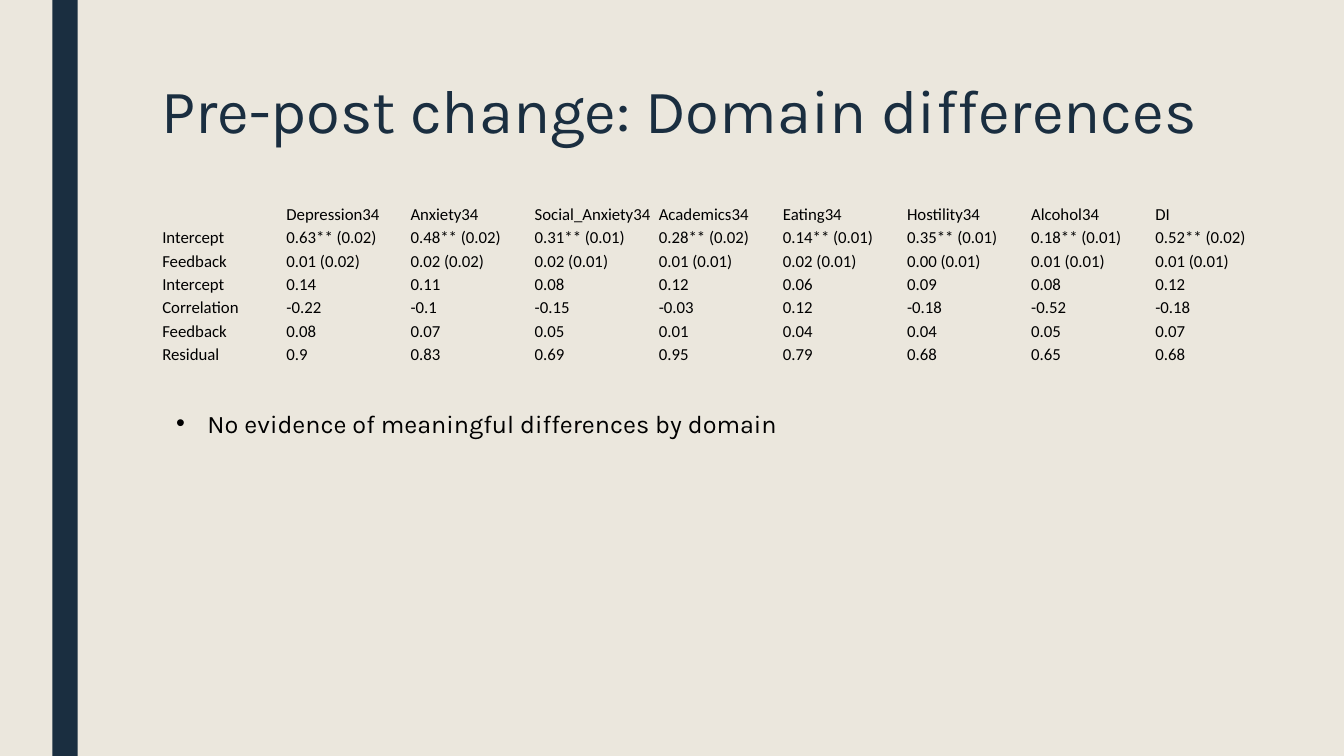
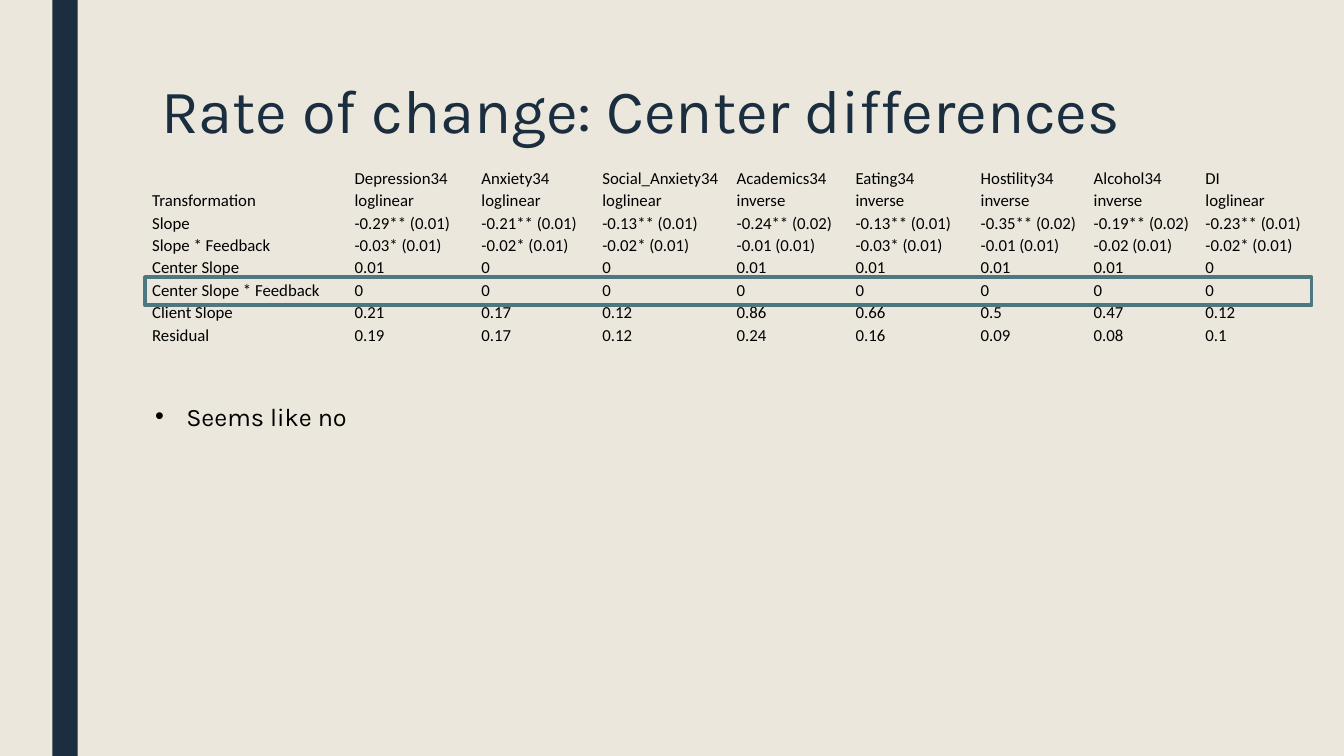
from pptx import Presentation
from pptx.dml.color import RGBColor
from pptx.enum.shapes import MSO_SHAPE
from pptx.enum.text import MSO_ANCHOR
from pptx.oxml.ns import qn
from pptx.util import Inches, Pt
from lxml.etree import SubElement

COLORS = {"paper": "EBE7DD", "navy": "1A2E40", "teal": "4E777F", "ink": "000000"}
GRID_COLUMNS, GRID_ROWS = 160, 90
PLAIN_TABLE = "{2D5ABB26-0587-4C30-8999-92F81FD0307C}"

DOMAINS = ("Depression34", "Anxiety34", "Social_Anxiety34", "Academics34",
           "Eating34", "Hostility34", "Alcohol34", "DI")

PRE_POST_ROWS = [
    ("", *DOMAINS),
    ("Intercept", "0.63** (0.02)", "0.48** (0.02)", "0.31** (0.01)", "0.28** (0.02)",
     "0.14** (0.01)", "0.35** (0.01)", "0.18** (0.01)", "0.52** (0.02)"),
    ("Feedback", "0.01 (0.02)", "0.02 (0.02)", "0.02 (0.01)", "0.01 (0.01)",
     "0.02 (0.01)", "0.00 (0.01)", "0.01 (0.01)", "0.01 (0.01)"),
    ("Intercept", "0.14", "0.11", "0.08", "0.12", "0.06", "0.09", "0.08", "0.12"),
    ("Correlation", "-0.22", "-0.1", "-0.15", "-0.03", "0.12", "-0.18", "-0.52", "-0.18"),
    ("Feedback", "0.08", "0.07", "0.05", "0.01", "0.04", "0.04", "0.05", "0.07"),
    ("Residual", "0.9", "0.83", "0.69", "0.95", "0.79", "0.68", "0.65", "0.68"),
]

RATE_ROWS = [
    ("", *DOMAINS),
    ("Transformation", "loglinear", "loglinear", "loglinear", "inverse",
     "inverse", "inverse", "inverse", "loglinear"),
    ("Slope", "-0.29** (0.01)", "-0.21** (0.01)", "-0.13** (0.01)", "-0.24** (0.02)",
     "-0.13** (0.01)", "-0.35** (0.02)", "-0.19** (0.02)", "-0.23** (0.01)"),
    ("Slope * Feedback", "-0.03* (0.01)", "-0.02* (0.01)", "-0.02* (0.01)", "-0.01 (0.01)",
     "-0.03* (0.01)", "-0.01 (0.01)", "-0.02 (0.01)", "-0.02* (0.01)"),
    ("Center Slope", "0.01", "0", "0", "0.01", "0.01", "0.01", "0.01", "0"),
    ("Center Slope * Feedback", *["0"] * len(DOMAINS)),
    ("Client Slope", "0.21", "0.17", "0.12", "0.86", "0.66", "0.5", "0.47", "0.12"),
    ("Residual", "0.19", "0.17", "0.12", "0.24", "0.16", "0.09", "0.08", "0.1"),
]


class Deck:
    """Holds the style and the current slide; lengths are grid columns and rows."""

    def __init__(self):
        self.prs = Presentation()
        self.prs.slide_width = Inches(13.33)
        self.prs.slide_height = Inches(7.5)
        self.slide = None

    def x(self, columns):
        return round(self.prs.slide_width * columns / GRID_COLUMNS)

    def y(self, rows):
        return round(self.prs.slide_height * rows / GRID_ROWS)

    def box(self, left, top, width, height):
        return self.x(left), self.y(top), self.x(width), self.y(height)

    def color(self, name):
        return RGBColor.from_string(COLORS[name])

    def new_slide(self, title):
        self.slide = self.prs.slides.add_slide(self.prs.slide_layouts[6])
        background = self.slide.background.fill
        background.solid()
        background.fore_color.rgb = self.color("paper")
        self.rectangle(6.24, 0, 3, GRID_ROWS, fill="navy")
        heading = self.text(18, 9, 126, 12.6, title, 44, "navy")
        heading.line_spacing = 0.89

    def rectangle(self, left, top, width, height, fill=None, line=None, weight=2.75):
        shape = self.slide.shapes.add_shape(
            MSO_SHAPE.RECTANGLE, *self.box(left, top, width, height))
        shape.shadow.inherit = False
        if fill:
            shape.fill.solid()
            shape.fill.fore_color.rgb = self.color(fill)
        else:
            shape.fill.background()
        if line:
            shape.line.color.rgb = self.color(line)
            shape.line.width = Pt(weight)
        else:
            shape.line.fill.background()

    def run(self, paragraph, words, size, color, font):
        run = paragraph.add_run()
        run.text = words
        run.font.size = Pt(size)
        run.font.name = font
        run.font.color.rgb = self.color(color)

    def text(self, left, top, width, height, words, size, color):
        """Add a one-paragraph text box and return its paragraph."""
        frame = self.slide.shapes.add_textbox(
            *self.box(left, top, width, height)).text_frame
        frame.word_wrap = True
        paragraph = frame.paragraphs[0]
        self.run(paragraph, words, size, color, "Karla")
        return paragraph

    def bullet(self, left, top, width, words):
        paragraph = self.text(left, top, width, 4.8, words, 18, "ink")
        properties = paragraph._p.get_or_add_pPr()
        indent = Inches(0.31)
        properties.set("marL", str(indent))
        properties.set("indent", str(-indent))
        SubElement(properties, qn("a:buFont"), typeface="Arial")
        SubElement(properties, qn("a:buChar"), char="•")

    def table(self, left, top, widths, heights, rows):
        frame = self.slide.shapes.add_table(
            len(rows), len(widths), *self.box(left, top, sum(widths), sum(heights)))
        table = frame.table
        table.first_row = table.horz_banding = False
        table._tbl.tblPr.find(qn("a:tableStyleId")).text = PLAIN_TABLE
        for column, width in zip(table.columns, widths):
            column.width = self.x(width)
        for row, height, entries in zip(table.rows, heights, rows):
            row.height = self.y(height)
            for cell, entry in zip(row.cells, entries):
                self.fill_cell(cell, entry)

    def fill_cell(self, cell, entry, size=12):
        cell.fill.background()
        cell.vertical_anchor = MSO_ANCHOR.BOTTOM
        cell.margin_left = cell.margin_right = cell.margin_top = Inches(0.01)
        cell.margin_bottom = 0
        paragraph = cell.text_frame.paragraphs[0]
        if entry:
            self.run(paragraph, entry, size, "ink", "Calibri")
        else:
            SubElement(paragraph._p, qn("a:endParaRPr"), sz=str(size * 100))


def main():
    deck = Deck()

    deck.new_slide("Pre-post change: Domain differences")
    deck.table(19.2, 21.6, [14.78] * 9, [5.2] + [2.78] * 6, PRE_POST_ROWS)
    deck.bullet(19.8, 48, 131.3, "No evidence of meaningful differences by domain")

    deck.new_slide("Rate of change: Center differences")
    rate_widths = [24.1, 15.1, 14.4, 16, 14.15, 14.9, 13.45, 13.3, 11.9]
    deck.table(18, 19.8, rate_widths, [2.67] * len(RATE_ROWS), RATE_ROWS)
    deck.rectangle(17.28, 33, 138.85, 3.36, line="teal")
    deck.bullet(17.28, 47.16, 135.85, "Seems like no")

    deck.prs.save("out.pptx")


if __name__ == "__main__":
    main()
